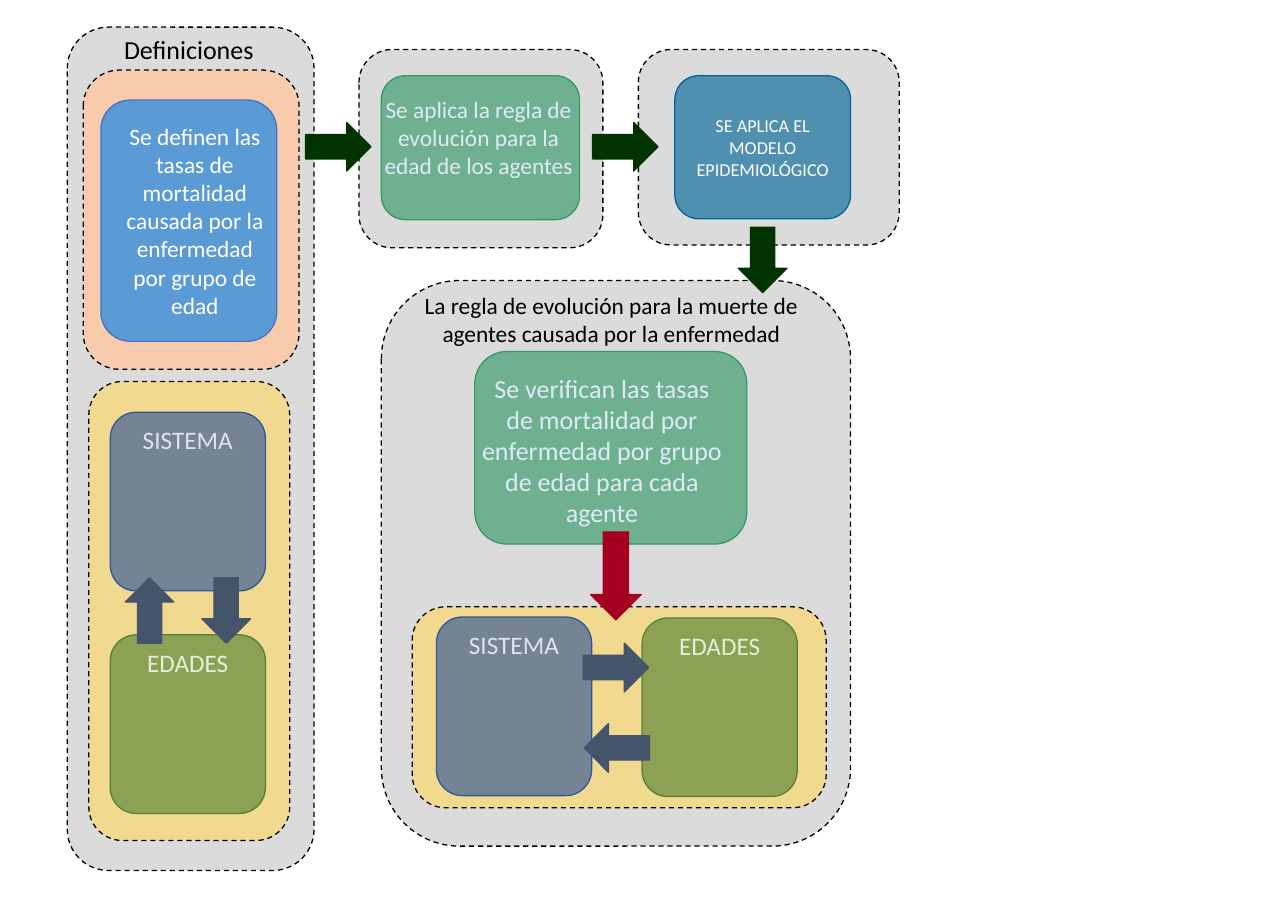
from lxml import etree
from pptx import Presentation
from pptx import util as u
from pptx.dml.color import RGBColor
from pptx.enum import dml, shapes, text
from pptx.oxml.ns import qn

PX = 9144
FONT = "Calibri"
BLACK = RGBColor(0x00, 0x00, 0x00)
WHITE = RGBColor(0xFF, 0xFF, 0xFF)
GREY = RGBColor(0xDB, 0xDB, 0xDB)
YELLOW = RGBColor(0xFF, 0xD9, 0x66)
PEACH = RGBColor(0xF8, 0xCB, 0xAD)
SKY = RGBColor(0x5B, 0x9B, 0xD5)
SKY_EDGE = RGBColor(0x44, 0x72, 0xC4)
NAVY = RGBColor(0x2F, 0x55, 0x97)
OLIVE = RGBColor(0x54, 0x82, 0x35)
GREEN = RGBColor(0x33, 0x99, 0x66)
TEAL = RGBColor(0x00, 0x66, 0x99)
SLATE = RGBColor(0x44, 0x54, 0x6A)
FOREST = RGBColor(0x00, 0x33, 0x00)
CRIMSON = RGBColor(0xA5, 0x00, 0x21)
PALE_NAVY = RGBColor(0xDA, 0xE3, 0xF3)
PALE_OLIVE = RGBColor(0xE2, 0xF0, 0xD9)
PALE_BLUE = RGBColor(0xDE, 0xEB, 0xF7)

SHAPE = shapes.MSO_SHAPE
TOP = text.MSO_ANCHOR.TOP
MIDDLE = text.MSO_ANCHOR.MIDDLE


class Diagram:
    def __init__(self, slide):
        self.slide = slide

    def frame(self, at):
        return [value * PX for value in at]

    def shape(self, preset, at, fill, edge, opacity=100):
        item = self.slide.shapes.add_shape(preset, *self.frame(at))
        item.shadow.inherit = False
        item.fill.solid()
        item.fill.fore_color.rgb = fill
        item.line.color.rgb = edge
        item.line.width = u.Pt(1)
        if opacity < 100:
            color = item.element.spPr.find(qn("a:solidFill"))[0]
            etree.SubElement(color, qn("a:alpha"), val=str(opacity * 1000))
        return item

    def caption(self, item, words, size, color, anchor=TOP):
        frame = item.text_frame
        frame.word_wrap = True
        frame.vertical_anchor = anchor
        paragraph = frame.paragraphs[0]
        paragraph.alignment = text.PP_ALIGN.CENTER
        run = paragraph.add_run()
        run.text = words
        for name, value in {"name": FONT, "size": u.Pt(size)}.items():
            setattr(run.font, name, value)
        run.font.color.rgb = color

    def panel(self, at, fill=GREY, opacity=100):
        item = self.shape(SHAPE.ROUNDED_RECTANGLE, at, fill, BLACK, opacity)
        item.line.dash_style = dml.MSO_LINE.DASH

    def card(self, at, fill, edge=None, opacity=64):
        return self.shape(SHAPE.ROUNDED_RECTANGLE, at, fill, edge or fill, opacity)

    def arrow(self, preset, at, color):
        self.shape(preset, at, color, color)

    def label(self, at, words, size, color):
        box = self.slide.shapes.add_textbox(*self.frame(at))
        self.caption(box, words, size, color)
        box.text_frame.auto_size = text.MSO_AUTO_SIZE.SHAPE_TO_FIT_TEXT

    def exchange(self, panel, system, ages, arrows):
        self.panel(panel, YELLOW, 64)
        for corner, words, fill, color in (
            (system, "SISTEMA", NAVY, PALE_NAVY),
            (ages, "EDADES", OLIVE, PALE_OLIVE),
        ):
            self.caption(self.card((*corner, 166, 191), fill), words, 19.4, color)
        for preset, at in arrows:
            self.arrow(preset, at, SLATE)


def main():
    deck = Presentation()
    deck.slide_width = 1378 * PX
    deck.slide_height = 984 * PX
    diagram = Diagram(deck.slides.add_slide(deck.slide_layouts[6]))

    death_panel = (408, 300, 502, 605)
    age_panel = (384, 53, 261, 212)
    definitions_panel = (72, 29, 264, 902)
    model_panel = (683, 53, 279, 209)
    for panel in (death_panel, age_panel, definitions_panel, model_panel):
        diagram.panel(panel)

    diagram.label((93, 31, 218, 44), "Definiciones", 20, BLACK)
    diagram.panel((89, 75, 231, 320), PEACH)
    diagram.card((108, 107, 188, 258), SKY, SKY_EDGE, 100)
    diagram.label(
        (123, 126, 171, 222),
        "Se definen las tasas de mortalidad causada por la enfermedad por grupo de edad",
        18, WHITE)
    diagram.exchange(
        (95, 408, 215, 491), (118, 441), (118, 679),
        ((SHAPE.UP_ARROW, (134, 618, 52, 70)), (SHAPE.DOWN_ARROW, (216, 618, 52, 70))))

    diagram.card((408, 81, 212, 154), GREEN)
    diagram.label(
        (401, 97, 222, 131),
        "Se aplica la regla de evolución para la edad de los agentes",
        18, PALE_BLUE)

    model = diagram.card((722, 81, 188, 153), TEAL)
    diagram.caption(model, "SE APLICA EL MODELO EPIDEMIOLÓGICO", 14, WHITE, MIDDLE)

    diagram.label(
        (433, 306, 442, 71),
        "La regla de evolución para la muerte de agentes causada por la enfermedad",
        18, BLACK)
    diagram.card((508, 376, 291, 206), GREEN)
    diagram.label(
        (503, 393, 282, 178),
        "Se verifican las tasas de mortalidad por enfermedad por grupo de edad para cada agente",
        20, PALE_BLUE)
    diagram.exchange(
        (441, 649, 443, 215), (467, 660), (687, 661),
        ((SHAPE.RIGHT_ARROW, (624, 688, 70, 52)), (SHAPE.LEFT_ARROW, (625, 774, 70, 52))))

    for preset, at, color in (
        (SHAPE.RIGHT_ARROW, (327, 131, 70, 52), FOREST),
        (SHAPE.RIGHT_ARROW, (634, 131, 70, 52), FOREST),
        (SHAPE.DOWN_ARROW, (790, 243, 52, 70), FOREST),
        (SHAPE.DOWN_ARROW, (632, 569, 54, 94), CRIMSON),
    ):
        diagram.arrow(preset, at, color)

    deck.save("out.pptx")


if __name__ == "__main__":
    main()
